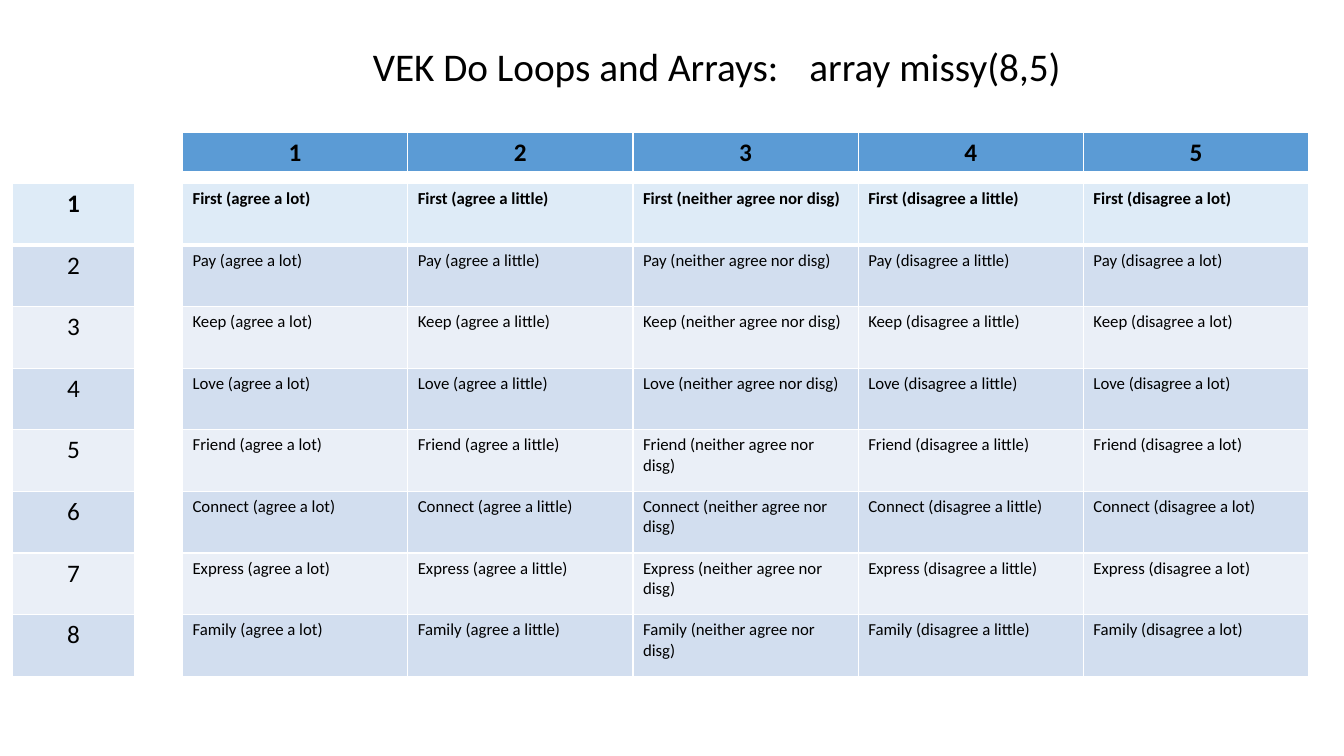
from dataclasses import dataclass

from lxml.etree import SubElement
from pptx import Presentation
from pptx.dml.color import RGBColor
from pptx.enum.text import MSO_ANCHOR, MSO_AUTO_SIZE, PP_ALIGN as Align
from pptx.oxml.ns import qn
from pptx.slide import Slide
from pptx.table import _Cell as Cell
from pptx.text.text import _Paragraph as Paragraph
from pptx.util import Inches, Pt

WHITE = RGBColor(0xFF, 0xFF, 0xFF)
BLACK = RGBColor(0x00, 0x00, 0x00)
HEADER_BLUE = RGBColor(0x5B, 0x9B, 0xD5)
FIRST_ROW_BLUE = RGBColor(0xDE, 0xEB, 0xF7)
BAND_DARK = RGBColor(0xD2, 0xDE, 0xEF)
BAND_LIGHT = RGBColor(0xEA, 0xEF, 0xF7)

FONT = "Calibri"
ITEMS = ["First", "Pay", "Keep", "Love", "Friend", "Connect", "Express", "Family"]
ANSWERS = [
    "agree a lot",
    "agree a little",
    "neither agree nor disg",
    "disagree a little",
    "disagree a lot",
]

ARRAY_LEFT, ARRAY_TOP = 1.81, 1.82
COLUMN = 11.17 / len(ANSWERS)
ROW = 4.89 / len(ITEMS)


@dataclass(frozen=True)
class Grid:
    left: float
    top: float
    column: float
    row: float
    texts: list[list[str]]
    size: int
    align: Align
    first_fill: RGBColor


GRIDS = [
    Grid(ARRAY_LEFT, ARRAY_TOP, COLUMN, ROW,
         [[f"{item} ({answer})" for answer in ANSWERS] for item in ITEMS],
         12, Align.LEFT, FIRST_ROW_BLUE),
    Grid(ARRAY_LEFT, 1.31, COLUMN, 0.41,
         [[str(number + 1) for number in range(len(ANSWERS))]],
         18, Align.CENTER, HEADER_BLUE),
    Grid(0.12, ARRAY_TOP, 1.22, ROW,
         [[str(number + 1)] for number in range(len(ITEMS))],
         18, Align.CENTER, FIRST_ROW_BLUE),
]


def set_font(paragraph: Paragraph, size: int, bold: bool = False) -> None:
    font = paragraph.font
    font.name = FONT
    font.size = Pt(size)
    font.bold = bold
    font.color.rgb = BLACK


def set_borders(cell: Cell, row: int) -> None:
    properties = cell._tc.get_or_add_tcPr()
    widths = {"lnL": 1, "lnR": 1, "lnT": 3 if row == 1 else 1, "lnB": 3 if row == 0 else 1}
    for side, width in widths.items():
        line = SubElement(properties, qn(f"a:{side}"), w=str(Pt(width)))
        fill = SubElement(line, qn("a:solidFill"))
        SubElement(fill, qn("a:srgbClr"), val=str(WHITE))


def row_fill(grid: Grid, row: int) -> RGBColor:
    if row == 0:
        return grid.first_fill
    return BAND_DARK if row % 2 else BAND_LIGHT


def add_grid(page: Slide, grid: Grid) -> None:
    rows, columns = len(grid.texts), len(grid.texts[0])
    table = page.shapes.add_table(
        rows, columns, Inches(grid.left), Inches(grid.top),
        Inches(grid.column * columns), Inches(grid.row * rows),
    ).table
    table.first_row = False
    table.horz_banding = False
    for row, texts in enumerate(grid.texts):
        for column, text in enumerate(texts):
            cell = table.cell(row, column)
            set_borders(cell, row)
            cell.fill.solid()
            cell.fill.fore_color.rgb = row_fill(grid, row)
            cell.text = text
            paragraph = cell.text_frame.paragraphs[0]
            paragraph.alignment = grid.align
            set_font(paragraph, grid.size, bold=row == 0)


def add_title(page: Slide) -> None:
    box = page.shapes.add_textbox(Inches(3.6), Inches(0.37), Inches(7.07), Inches(0.57))
    frame = box.text_frame
    frame.word_wrap = False
    frame.auto_size = MSO_AUTO_SIZE.SHAPE_TO_FIT_TEXT
    frame.vertical_anchor = MSO_ANCHOR.TOP
    paragraph = frame.paragraphs[0]
    paragraph.text = "VEK Do Loops and Arrays:\tarray missy(8,5)"
    paragraph.alignment = Align.LEFT
    tabs = SubElement(paragraph._p.get_or_add_pPr(), qn("a:tabLst"))
    SubElement(tabs, qn("a:tab"), pos=str(Inches(4.33)), algn="l")
    set_font(paragraph, 28)


def main() -> None:
    deck = Presentation()
    deck.slide_width = Inches(13.33)
    deck.slide_height = Inches(7.5)
    page = deck.slides.add_slide(deck.slide_layouts[6])
    for grid in GRIDS:
        add_grid(page, grid)
    add_title(page)
    deck.save("out.pptx")


if __name__ == "__main__":
    main()
